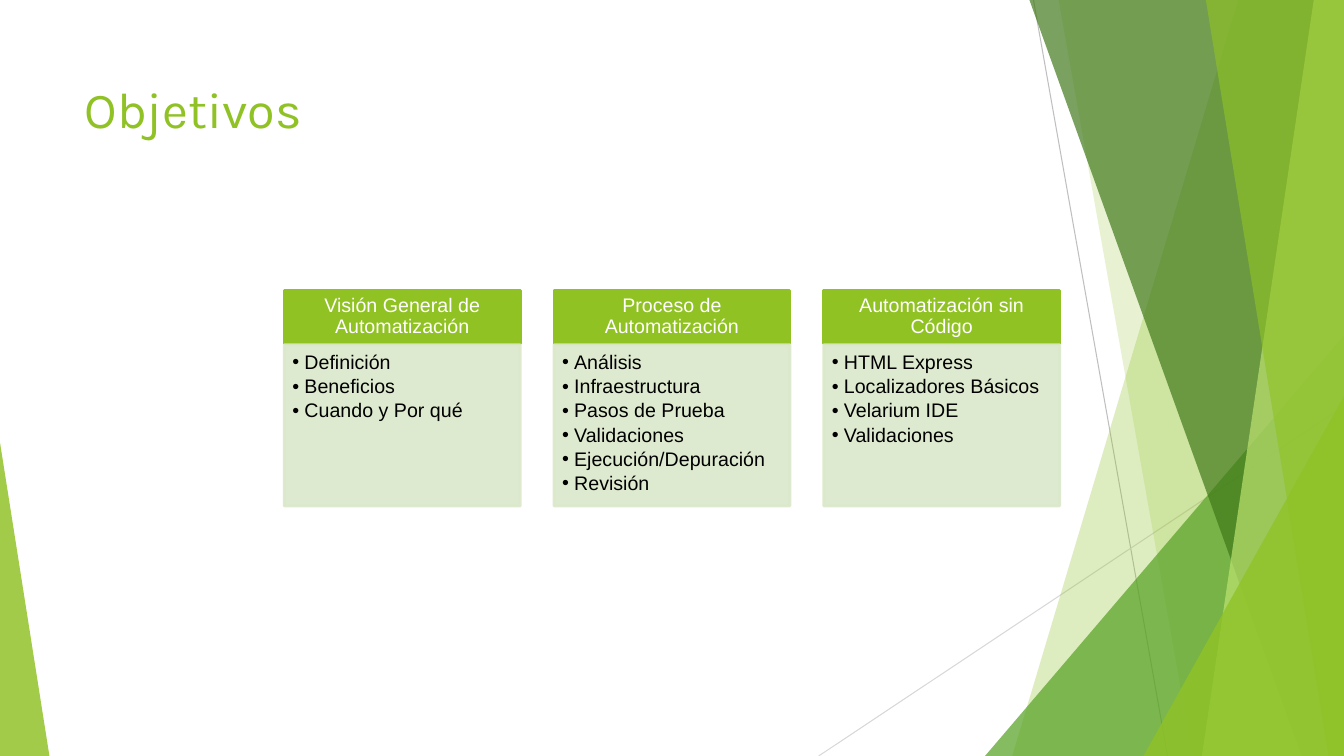
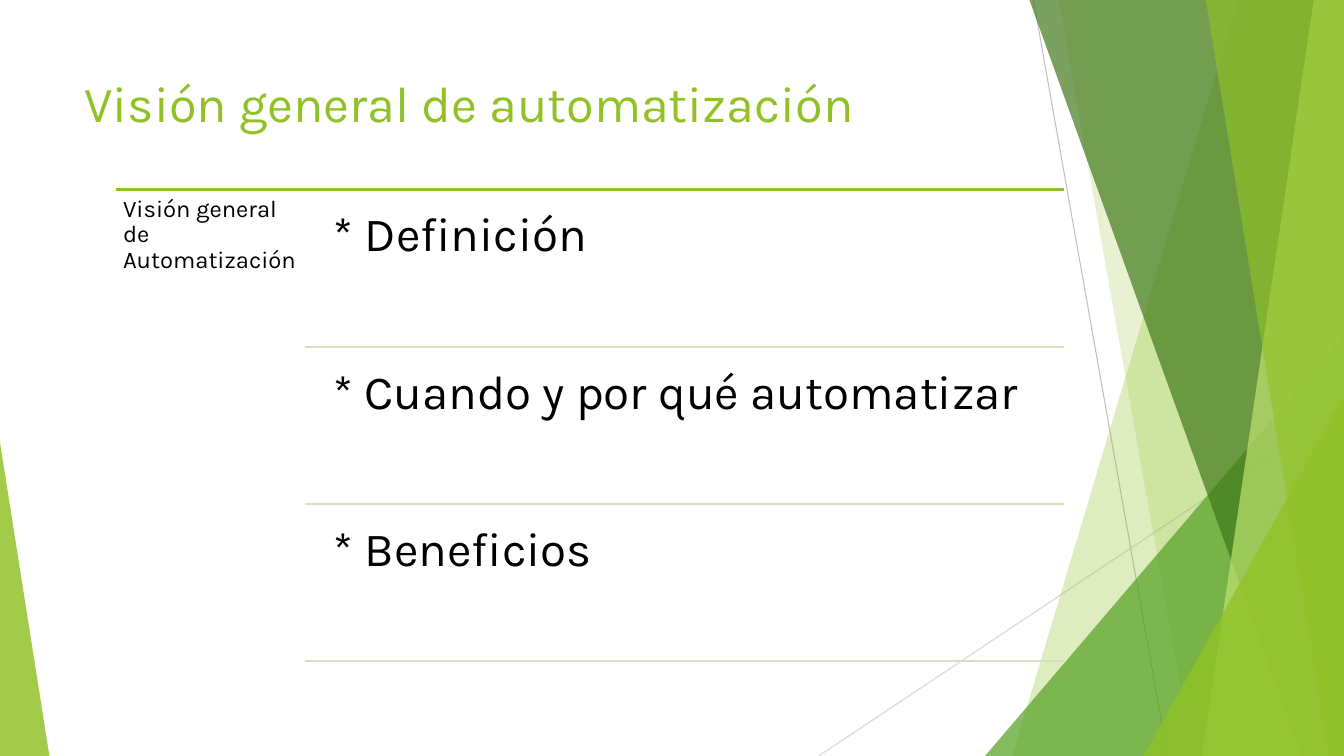
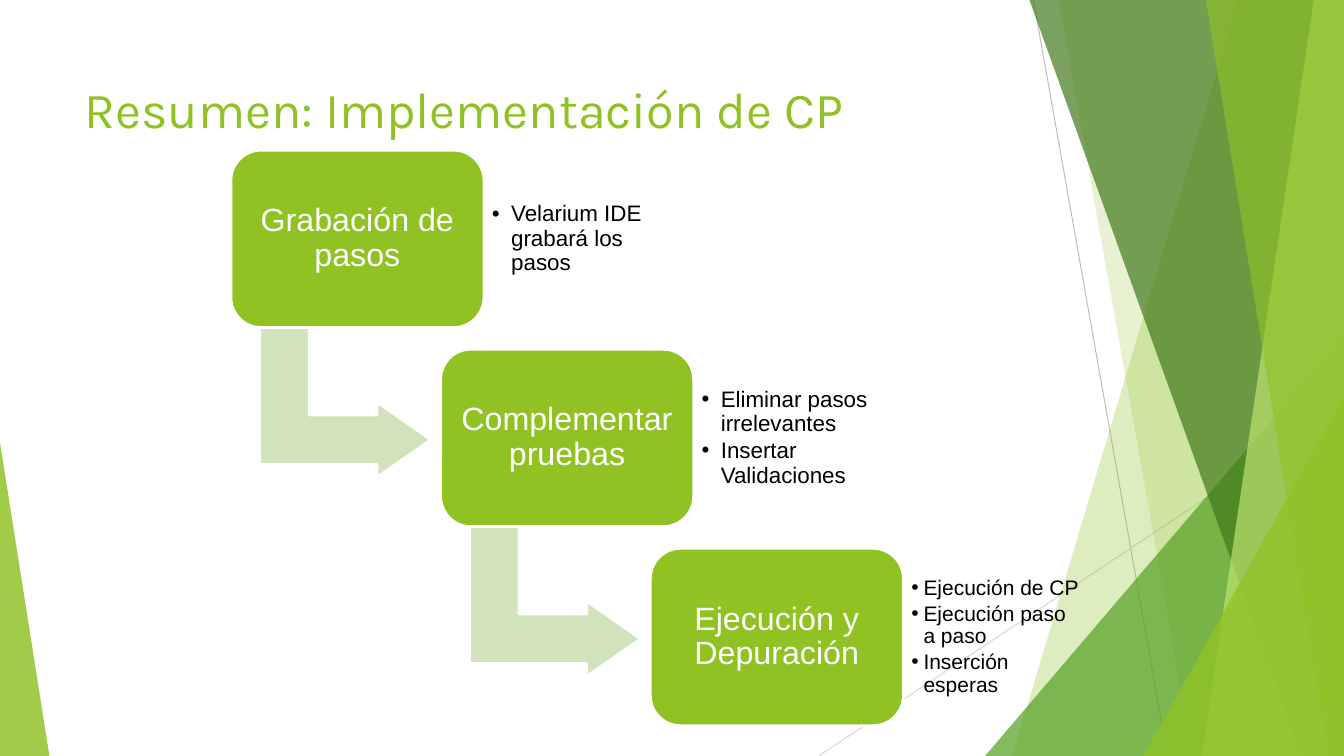
import pptx
import pptx.dml.color
import pptx.enum.shapes
import pptx.enum.text
import pptx.oxml
import pptx.oxml.ns
import pptx.util

Inches = pptx.util.Inches
Pt = pptx.util.Pt
SHAPES = pptx.enum.shapes.MSO_SHAPE
ANCHORS = pptx.enum.text.MSO_ANCHOR
ALIGNS = pptx.enum.text.PP_ALIGN

WIDTH, HEIGHT = 13.33, 7.5
GREEN, ACCENT, PALE, CARD = "90C226", "90C223", "D1E3BB", "DBE8CA"
WHITE, BLACK = "FFFFFF", "000000"


def color(code):
    """Turn a hex string into a colour."""
    return pptx.dml.color.RGBColor.from_string(code)


def add_xml(parent, tag, **attributes):
    """Append a drawing element and return it."""
    element = pptx.oxml.parse_xml(f"<a:{tag} {pptx.oxml.ns.nsdecls('a')}/>")
    for name, value in attributes.items():
        element.set(name, str(value))
    parent.append(element)
    return element


def write(shape, lines, size=14, font="Arial", ink=BLACK, align=ALIGNS.LEFT,
          anchor=ANCHORS.TOP, inset=(0.1, 0.1, 0.1, 0.1), spacing=0.9,
          bullet=0, before=0):
    """Fill a shape with paragraphs; bullet is the hanging indent in inches."""
    frame = shape.text_frame
    frame.word_wrap = True
    frame.vertical_anchor = anchor
    (frame.margin_left, frame.margin_top,
     frame.margin_right, frame.margin_bottom) = map(Inches, inset)
    for index, line in enumerate(lines):
        paragraph = frame.add_paragraph() if index else frame.paragraphs[0]
        paragraph.alignment = align
        paragraph.line_spacing = spacing
        paragraph.space_before = Pt(before if index else 0)
        run = paragraph.add_run()
        run.text = line
        run.font.name = font
        run.font.size = Pt(size)
        run.font.color.rgb = color(ink)
        if bullet:
            properties = paragraph._p.get_or_add_pPr()
            properties.set("marL", str(Inches(bullet)))
            properties.set("indent", str(Inches(-bullet)))
            add_xml(properties, "buFont", typeface="Arial")
            add_xml(properties, "buChar", char="•")


class Deck:
    """Holds the presentation style and the current slide."""

    def __init__(self):
        """Start an empty widescreen presentation."""
        self.presentation = pptx.Presentation()
        self.presentation.slide_width = Inches(WIDTH)
        self.presentation.slide_height = Inches(HEIGHT)
        self.slide = None

    def new_slide(self, title, inset=0.1):
        """Add a slide with the shared backdrop and a title."""
        self.slide = self.presentation.slides.add_slide(
            self.presentation.slide_layouts[6])
        self.backdrop()
        self.text(0.74, 0.67, 9.4, 0.92, [title], size=36, font="Karla",
                  ink=GREEN, spacing=1, inset=(0.1, inset, 0.1, inset))

    def backdrop(self):
        """Draw the overlapping green bands and thin lines."""
        self.line(10.25, 0, 11.58, HEIGHT, "BFBFBF", 0.75)
        self.line(WIDTH, 4.03, 8.12, HEIGHT, "D8D8D8", 0.75)
        self.band(12.28, 10.04, GREEN, 29)
        self.band(10.5, 11.83, GREEN, 20)
        self.triangle(9.77, 3.33, 3.56, "54A021", 71)
        self.band(10.21, 12.91, "3F7818", 69)
        self.band(13.03, 11.92, "BFE471", 69)
        self.band(11.96, 13.18, GREEN, 64)
        self.triangle(11.34, 3.93, 1.99, GREEN, 80)
        self.triangle(0, 4.39, 0.49, GREEN, 84, apex=0)

    def paint(self, shape, fill, alpha=100, outline=None):
        """Set fill, outline and opacity of a shape."""
        shape.shadow.inherit = False
        shape.fill.solid()
        shape.fill.fore_color.rgb = color(fill)
        if outline:
            shape.line.color.rgb = color(outline)
            shape.line.width = Pt(2)
        else:
            shape.line.fill.background()
        if alpha < 100:
            for tint in shape._element.spPr.xpath(".//a:srgbClr"):
                add_xml(tint, "alpha", val=alpha * 1000)

    def shape(self, kind, x, y, width, height, fill, adjust=(), alpha=100,
              outline=None):
        """Add a preset shape."""
        shape = self.slide.shapes.add_shape(
            kind, Inches(x), Inches(y), Inches(width), Inches(height))
        for index, value in enumerate(adjust):
            shape.adjustments[index] = value
        self.paint(shape, fill, alpha, outline)
        return shape

    def triangle(self, x, y, width, fill, alpha, apex=1):
        """Add a triangle standing on the bottom edge."""
        self.shape(SHAPES.ISOSCELES_TRIANGLE, x, y, width, HEIGHT - y, fill,
                   (apex,), alpha)

    def band(self, top, bottom, fill, alpha):
        """Add a full-height band from a slanted edge to the right side."""
        corners = [(Inches(x), Inches(y)) for x, y in
                   ((WIDTH, 0), (WIDTH, HEIGHT), (bottom, HEIGHT))]
        outline = self.slide.shapes.build_freeform(Inches(top), 0)
        outline.add_line_segments(corners, close=True)
        self.paint(outline.convert_to_shape(), fill, alpha)

    def line(self, x1, y1, x2, y2, ink, weight=1.5):
        """Add a straight line."""
        line = self.slide.shapes.add_connector(
            pptx.enum.shapes.MSO_CONNECTOR.STRAIGHT,
            Inches(x1), Inches(y1), Inches(x2), Inches(y2))
        line.line.color.rgb = color(ink)
        line.line.width = Pt(weight)
        add_xml(line._element.spPr, "effectLst")

    def text(self, x, y, width, height, lines, **style):
        """Add a text box."""
        box = self.slide.shapes.add_textbox(
            Inches(x), Inches(y), Inches(width), Inches(height))
        write(box, lines, **style)

    def card(self, x, heading, items):
        """Add a headed card with a bullet list."""
        head = self.shape(SHAPES.RECTANGLE, x, 2.88, 2.34, 0.53, ACCENT,
                          outline=ACCENT)
        write(head, [heading], ink=WHITE, align=ALIGNS.CENTER,
              anchor=ANCHORS.MIDDLE, inset=(0.11, 0.06, 0.11, 0.06))
        body = self.shape(SHAPES.RECTANGLE, x, 3.42, 2.34, 1.6, CARD,
                          alpha=89, outline=CARD)
        write(body, items, bullet=0.12, before=2.1,
              inset=(0.08, 0.08, 0.11, 0.12))

    def step(self, x, y, name, details, size, indent, arrow):
        """Add a step with its details and an optional arrow to the next."""
        if arrow:
            bend = self.shape(SHAPES.BENT_UP_ARROW, x + 0.39, y + 1.65, 1.49,
                              1.7, PALE, (0.33, 0.25, 0.36), outline=WHITE)
            bend.rotation = 90
        box = self.shape(SHAPES.ROUNDED_RECTANGLE, x, y, 2.51, 1.76, ACCENT,
                         (0.17,), outline=WHITE)
        write(box, [name], size=23, ink=WHITE, align=ALIGNS.CENTER,
              anchor=ANCHORS.MIDDLE)
        self.text(x + 2.51, y + 0.17, 1.83, 1.42, details, size=size,
                  anchor=ANCHORS.MIDDLE, bullet=indent, before=2.3,
                  inset=(0.08, 0.08, 0.06, 0.08))


def objectives(deck):
    """Build the objectives slide."""
    deck.new_slide("Objetivos")
    cards = [
        ("Visión General de Automatización",
         ["Definición", "Beneficios", "Cuando y Por qué"]),
        ("Proceso de Automatización",
         ["Análisis", "Infraestructura", "Pasos de Prueba", "Validaciones",
          "Ejecución/Depuración", "Revisión"]),
        ("Automatización sin Código",
         ["HTML Express", "Localizadores Básicos", "Velarium IDE",
          "Validaciones"]),
    ]
    pitch = (8.17 - 2.82) / 2
    for index, (heading, items) in enumerate(cards):
        deck.card(2.82 + index * pitch, heading, items)


def overview(deck):
    """Build the overview slide."""
    deck.new_slide("Visión general de automatización", inset=0.05)
    top, pitch, right = 1.88, 1.56, 10.55
    deck.line(1.15, top, right, top, ACCENT, 2.25)
    deck.text(1.15, top, 1.88, 4.75, ["Visión general de Automatización"],
              size=17, font="Karla", inset=(0.07, 0.07, 0.07, 0.07))
    topics = ["* Definición", "* Cuando y por qué automatizar", "* Beneficios"]
    for index, topic in enumerate(topics):
        y = top + index * pitch
        deck.text(3.17, y + 0.07, 7.38, 1.48, [topic], size=34, font="Karla",
                  inset=(0.14, 0.14, 0.14, 0.14))
        deck.line(3.03, y + pitch, right, y + pitch, PALE)


def summary(deck):
    """Build the summary slide."""
    deck.new_slide("Resumen: Implementación de CP")
    steps = [
        ("Grabación de pasos", ["Velarium IDE grabará los pasos"], 16, 0.19),
        ("Complementar pruebas",
         ["Eliminar pasos irrelevantes", "Insertar Validaciones"], 16, 0.19),
        ("Ejecución y Depuración",
         ["Ejecución de CP", "Ejecución paso a paso", "Inserción esperas"],
         15, 0.12),
    ]
    rise = (5.44 - 1.49) / 2
    for index, (name, details, size, indent) in enumerate(steps):
        deck.step(2.29 + index * 2.08, 1.49 + index * rise, name, details,
                  size, indent, arrow=index < len(steps) - 1)


def main():
    """Build and save the presentation."""
    deck = Deck()
    for build in (objectives, overview, summary):
        build(deck)
    deck.presentation.save("out.pptx")


if __name__ == "__main__":
    main()
